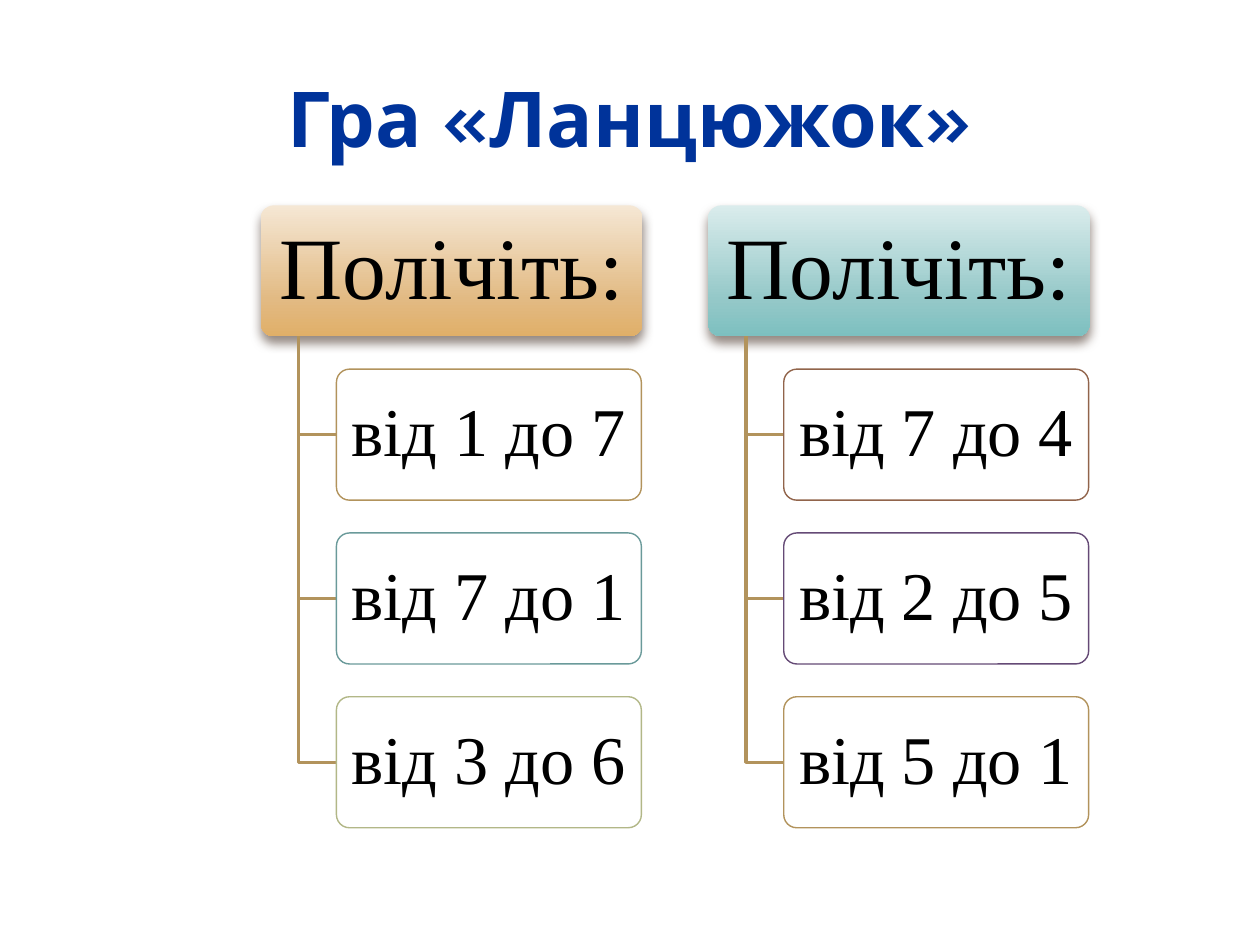
from lxml.etree import SubElement
from pptx import Presentation
from pptx.dml.color import RGBColor
from pptx.enum.shapes import MSO_SHAPE as Shape
from pptx.enum.text import MSO_ANCHOR as Anchor, PP_ALIGN as Align
from pptx.oxml.ns import qn
from pptx.util import Inches, Pt

TITLE = "Гра «Ланцюжок»"
COLUMNS = [
    {
        "head": "Полічіть:",
        "stops": [(0, "F5E7D4"), (72, "E2BA83"), (100, "E0AF68")],
        "tasks": [("від 1 до 7", "B2935C"), ("від 7 до 1", "6A9A9A"), ("від 3 до 6", "B2B787")],
    },
    {
        "head": "Полічіть:",
        "stops": [(0, "DAECEC"), (72, "94C8C8"), (100, "7DC0C0")],
        "tasks": [("від 7 до 4", "91644B"), ("від 2 до 5", "654A76"), ("від 5 до 1", "B2935C")],
    },
]
LEFT, TOP, COLUMN_STEP, ROW_STEP = 2.07, 1.63, 3.55, 1.3
HEAD_WIDTH, TASK_WIDTH, HEIGHT = 3.03, 2.42, 1.04
STEM_INDENT, TASK_INDENT = 0.3, 0.6
BRANCH_COLOR = "B2935C"
TITLE_FONT = {"name": "Karla", "size": Pt(44), "bold": True}
HEAD_FONT = {"name": "Times New Roman", "size": Pt(50)}
TASK_FONT = {"name": "Times New Roman", "size": Pt(39)}


def color(value):
    return RGBColor.from_string(value)


def add_color(parent, value, alpha=None):
    tint = SubElement(parent, qn("a:srgbClr"), val=value)
    if alpha is not None:
        SubElement(tint, qn("a:alpha"), val=str(alpha * 1000))


def write(frame, text, font, text_color):
    frame.vertical_anchor = Anchor.MIDDLE
    para = frame.paragraphs[0]
    para.alignment = Align.CENTER
    span = para.add_run()
    span.text = text
    for name, value in font.items():
        setattr(span.font, name, value)
    span.font.color.rgb = color(text_color)
    return span


def add_box(page, left, top, width, text, font):
    box = page.shapes.add_shape(
        Shape.ROUNDED_RECTANGLE, Inches(left), Inches(top), Inches(width), Inches(HEIGHT))
    box.adjustments[0] = 0.1
    box.shadow.inherit = False
    frame = box.text_frame
    frame.word_wrap = False
    write(frame, text, font, "000000")
    frame.paragraphs[0].line_spacing = 0.9
    return box


def add_head(page, left, top, text, stops):
    box = add_box(page, left, top, HEAD_WIDTH, text, HEAD_FONT)
    box.line.fill.background()
    box.fill.gradient()
    box.fill.gradient_angle = 270
    properties = box._element.spPr
    stop_list = properties.find(".//" + qn("a:gsLst"))
    for stop in list(stop_list):
        stop_list.remove(stop)
    for place, value in stops:
        add_color(SubElement(stop_list, qn("a:gs"), pos=str(place * 1000)), value)
    shadow = SubElement(
        properties.find(qn("a:effectLst")), qn("a:outerShdw"),
        blurRad=str(Pt(6)), dist=str(Pt(4)), dir="5400000", rotWithShape="0")
    add_color(shadow, "4E3B30", 60)


def add_task(page, left, top, text, border):
    box = add_box(page, left, top, TASK_WIDTH, text, TASK_FONT)
    box.fill.solid()
    box.fill.fore_color.rgb = color("FFFFFF")
    tint = box._element.spPr.find(qn("a:solidFill"))[0]
    SubElement(tint, qn("a:alpha"), val="90000")
    box.line.color.rgb = color(border)
    box.line.width = Pt(0.79)


def add_branch(page, stem, start, end, target):
    builder = page.shapes.build_freeform(Inches(stem), Inches(start))
    corners = [(stem, end), (target, end)]
    builder.add_line_segments([(Inches(x), Inches(y)) for x, y in corners], close=False)
    branch = builder.convert_to_shape()
    branch.shadow.inherit = False
    branch.fill.background()
    branch.line.color.rgb = color(BRANCH_COLOR)
    branch.line.width = Pt(2)


def add_title(page):
    title = page.shapes.title
    title.left, title.top, title.width, title.height = map(Inches, (0.5, 0.3, 9, 1.25))
    span = write(title.text_frame, TITLE, TITLE_FONT, "00339A")
    outline = SubElement(span.font._element, qn("a:ln"), w=str(Pt(0.15)))
    add_color(SubElement(outline, qn("a:solidFill")), "F2F2F2")
    span.font._element.insert(0, outline)


def main():
    deck = Presentation()
    deck.slide_width, deck.slide_height = Inches(10), Inches(7.5)
    page = deck.slides.add_slide(deck.slide_layouts[5])
    add_title(page)
    for number, column in enumerate(COLUMNS):
        left = LEFT + number * COLUMN_STEP
        add_head(page, left, TOP, column["head"], column["stops"])
        for row, (text, border) in enumerate(column["tasks"], 1):
            top = TOP + row * ROW_STEP
            target = left + TASK_INDENT
            add_branch(page, left + STEM_INDENT, TOP + HEIGHT, top + HEIGHT / 2, target)
            add_task(page, target, top, text, border)
    deck.save("out.pptx")


if __name__ == "__main__":
    main()
